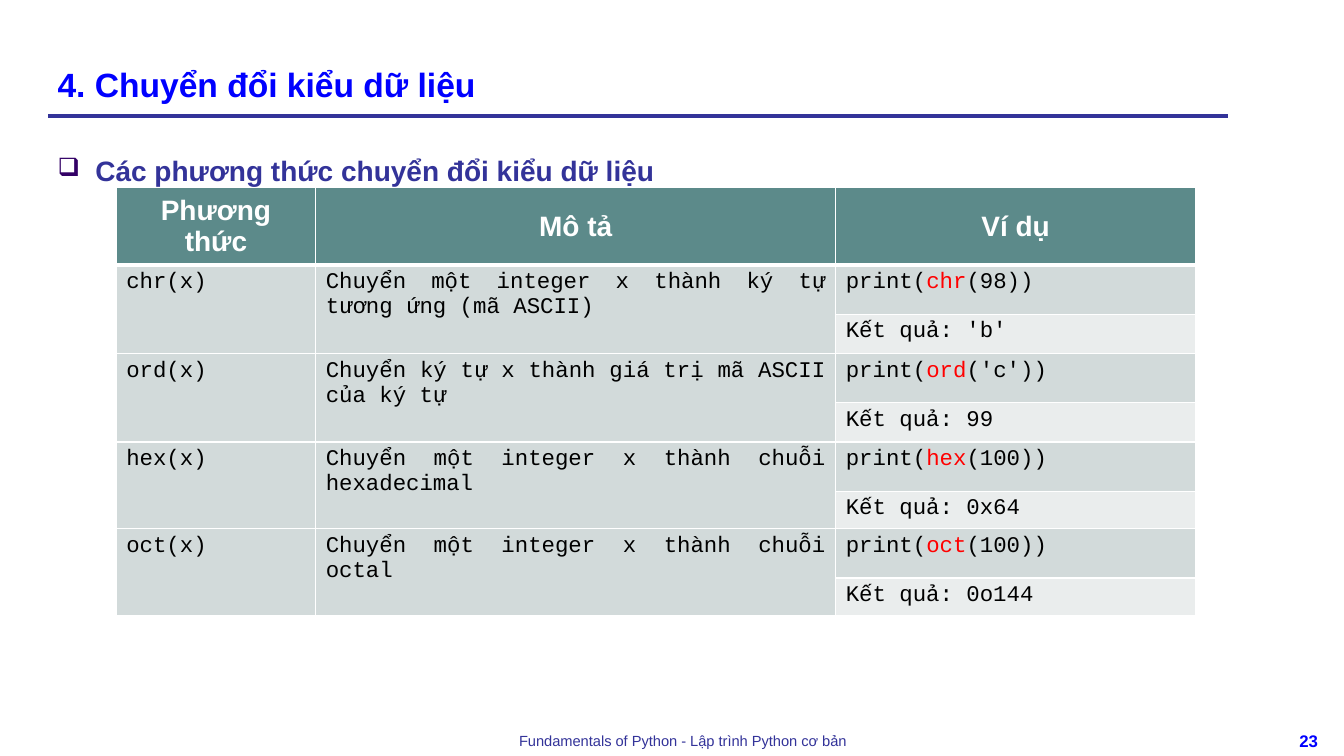
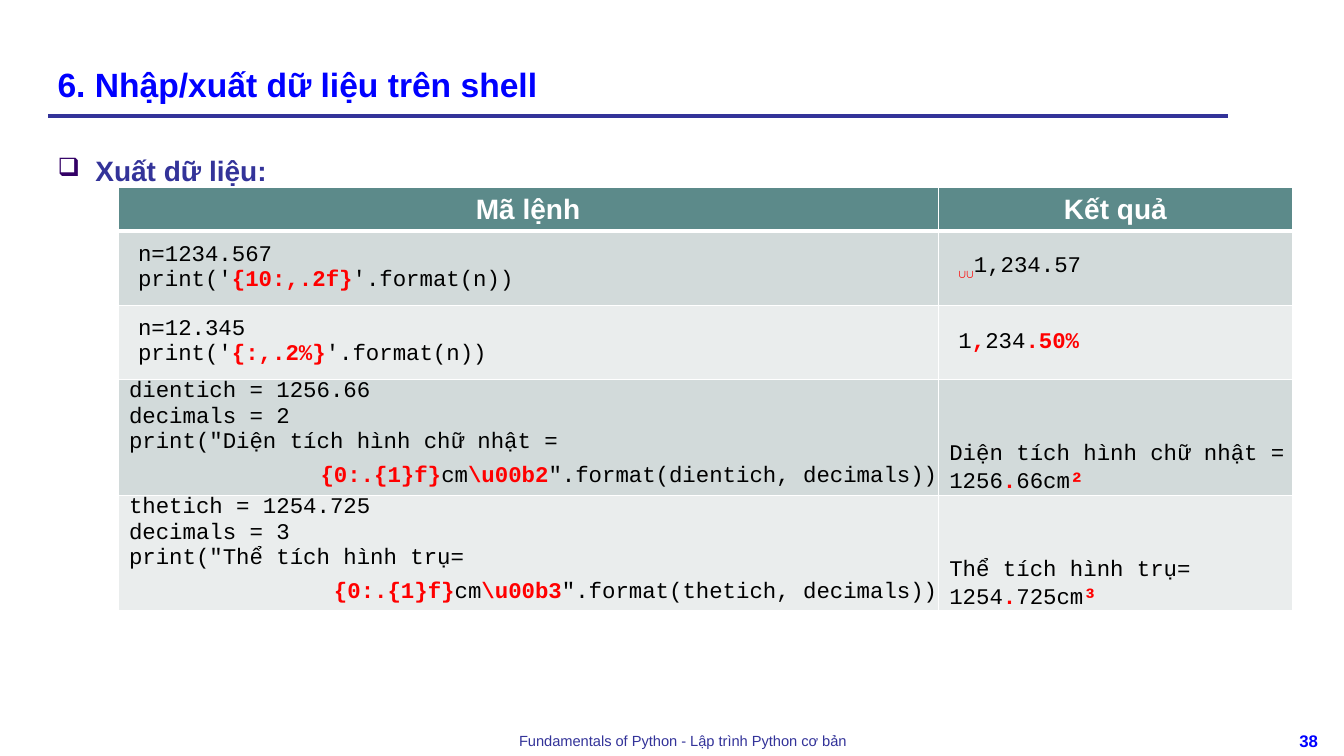
from lxml import etree
from pptx import Presentation
from pptx.dml.color import RGBColor
from pptx.enum.shapes import MSO_CONNECTOR
from pptx.enum.text import MSO_ANCHOR, PP_ALIGN
from pptx.oxml.ns import qn
from pptx.util import Pt

LEFT, MID, RIGHT, FULL = (PP_ALIGN.LEFT, PP_ALIGN.CENTER, PP_ALIGN.RIGHT,
                          PP_ALIGN.JUSTIFY)
TOP, CENTER, BOTTOM = MSO_ANCHOR.TOP, MSO_ANCHOR.MIDDLE, MSO_ANCHOR.BOTTOM
STRAIGHT = MSO_CONNECTOR.STRAIGHT

NAVY = RGBColor(0x33, 0x33, 0x99)
BLUE = RGBColor(0x00, 0x00, 0xFF)
PLUM = RGBColor(0x33, 0x00, 0x66)
TEAL = RGBColor(0x5C, 0x8A, 0x8A)
DARK = RGBColor(0xD2, 0xDA, 0xDA)
PALE = RGBColor(0xEA, 0xED, 0xED)
RED = RGBColor(0xFF, 0x00, 0x00)
BLACK = RGBColor(0x00, 0x00, 0x00)
WHITE = RGBColor(0xFF, 0xFF, 0xFF)
SANS, MONO = "Arial", "Courier New"

# Text between bars is red.
FOOTER = "Fundamentals of Python - Lập trình Python cơ bản"
CASTS = {
    "title": "4. Chuyển đổi kiểu dữ liệu",
    "point": "Các phương thức chuyển đổi kiểu dữ liệu",
    "page": "23",
    "heads": ["Phương thức", "Mô tả", "Ví dụ"],
    "rows": [
        ("chr", "Chuyển một integer x thành ký tự tương ứng (mã ASCII)",
         "98", "'b'"),
        ("ord", "Chuyển ký tự x thành giá trị mã ASCII của ký tự",
         "'c'", "99"),
        ("hex", "Chuyển một integer x thành chuỗi hexadecimal",
         "100", "0x64"),
        ("oct", "Chuyển một integer x thành chuỗi octal", "100", "0o144"),
    ],
}
OUTPUT = {
    "title": "6. Nhập/xuất dữ liệu trên shell",
    "point": "Xuất dữ liệu:",
    "page": "38",
    "heads": ["Mã lệnh", "Kết quả"],
    "short": [
        ("n=1234.567\nprint('|{10:,.2f}|'.format(n))", "|∪∪|1,234.57"),
        ("n=12.345\nprint('|{:,.2%}|'.format(n))", "1|,|234|.50%|"),
    ],
    "long": [
        ("dientich = 1256.66\ndecimals = 2\nprint(\"Diện tích hình chữ nhật =",
         "|{0:.{1}f}|cm|\\u00b2|\".format(dientich, decimals))",
         "Diện tích hình chữ nhật = 1256|.|66cm|²|"),
        ("thetich = 1254.725\ndecimals = 3\nprint(\"Thể tích hình trụ=",
         "|{0:.{1}f}|cm|\\u00b3|\".format(thetich, decimals))",
         "Thể tích hình trụ= 1254|.|725cm|³|"),
    ],
}


def add_run(para, text, size, color, bold=False, font=SANS):
    """Add one styled run."""
    run = para.add_run()
    run.text = text
    run.font.size, run.font.name, run.font.bold = Pt(size), font, bold
    run.font.color.rgb = color
    return run


def add_break(para, size):
    """Add a line break as tall as the text around it."""
    mark = etree.SubElement(para._p, qn("a:br"))
    prop = etree.SubElement(mark, qn("a:rPr"), sz=str(size * 100))
    etree.SubElement(prop, qn("a:latin"), typeface=MONO)


def add_code(para, text, strong):
    """Add code runs; parts between bars are red, and bold if strong."""
    for i, part in enumerate(text.split("|")):
        hot = i % 2 == 1
        for j, line in enumerate(part.split("\n")):
            if j:
                add_break(para, 16)
            if line:
                run = add_run(para, line, 16, RED if hot else BLACK,
                              hot and strong, MONO)
                if "∪" in line:
                    run.font._element.set("baseline", "-25000")


def add_label(slide, box, text, size, color, bold=True, align=LEFT,
              anchor=TOP):
    """Add a one-paragraph text box and return the paragraph."""
    frame = slide.shapes.add_textbox(*map(Pt, box)).text_frame
    frame.word_wrap, frame.vertical_anchor = True, anchor
    para = frame.paragraphs[0]
    para.alignment = align
    add_run(para, text, size, color, bold)
    return para


def add_bullet(para):
    """Give a paragraph the square bullet and hanging indent."""
    para.line_spacing = 1.5
    prop = para._p.get_or_add_pPr()
    prop.set("marL", str(Pt(27)))
    prop.set("indent", str(-Pt(27)))
    tint = etree.SubElement(prop, qn("a:buClr"))
    etree.SubElement(tint, qn("a:srgbClr"), val=str(PLUM))
    etree.SubElement(prop, qn("a:buSzPct"), val="90000")
    etree.SubElement(prop, qn("a:buChar"), char="❑")


def add_page(deck, data):
    """Add a slide with title, rule, bullet point and footer."""
    slide = deck.slides.add_slide(deck.slide_layouts[6])
    rule = slide.shapes.add_connector(STRAIGHT, Pt(34.5), Pt(83), Pt(877),
                                      Pt(83))
    rule.line.color.rgb, rule.line.width = NAVY, Pt(3)
    etree.SubElement(rule._element.spPr, qn("a:effectLst"))
    add_label(slide, (232, 519, 512, 21), FOOTER, 10.5, NAVY, False, MID)
    add_label(slide, (912, 518.5, 45.5, 21.5), data["page"], 12, BLUE,
              align=MID)
    add_label(slide, (34, 15, 831.5, 62.75), data["title"], 24, BLUE,
              anchor=BOTTOM)
    add_bullet(add_label(slide, (34, 94.25, 831.5, 408), data["point"], 20,
                         NAVY))
    return slide


def set_cell(cell, fill, anchor=TOP, pad=None, base=1):
    """Set a cell's borders, fill, anchor and padding."""
    prop = cell._tc.get_or_add_tcPr()
    for side, width in (("L", 1), ("R", 1), ("T", 1), ("B", base)):
        line = etree.SubElement(prop, qn("a:ln" + side), w=str(Pt(width)))
        solid = etree.SubElement(line, qn("a:solidFill"))
        etree.SubElement(solid, qn("a:srgbClr"), val=str(WHITE))
    cell.fill.solid()
    cell.fill.fore_color.rgb = fill
    cell.vertical_anchor = anchor
    if pad is not None:
        cell.margin_left = cell.margin_right = Pt(pad[0])
        cell.margin_top = cell.margin_bottom = Pt(pad[1])


def add_grid(slide, left, cols, rows, heads):
    """Add a table of given column widths and row heights with its header."""
    grid = slide.shapes.add_table(len(rows), len(cols), Pt(left), Pt(134),
                                  Pt(sum(cols)), Pt(sum(rows))).table
    grid.horz_banding = False
    for col, width in zip(grid.columns, cols):
        col.width = Pt(width)
    for row, height in zip(grid.rows, rows):
        row.height = Pt(height)
    for i, head in enumerate(heads):
        cell = grid.cell(0, i)
        set_cell(cell, TEAL, CENTER, base=3)
        para = cell.text_frame.paragraphs[0]
        para.alignment = MID
        add_run(para, head, 20, WHITE, True)
    return grid


def put_code(cell, text, align=FULL, strong=False, indent=0, space=None,
             more=False):
    """Write a code paragraph into a cell, or below its text if more."""
    frame = cell.text_frame
    para = frame.add_paragraph() if more else frame.paragraphs[0]
    para.alignment = align
    if indent:
        para._p.get_or_add_pPr().set("marL", str(Pt(indent)))
        para._p.get_or_add_pPr().set("indent", "0")
        para.space_before = Pt(6)
    if space:
        para.line_spacing = space
    add_code(para, text, strong)


def draw_casts(deck):
    """Build the slide on conversion methods."""
    rows = [45.25] + [35.25, 28] * 2 + [35.25, 26.75] * 2
    grid = add_grid(add_page(deck, CASTS), 83, (142.5, 371.5, 257), rows,
                    CASTS["heads"])
    for i, (name, note, arg, result) in enumerate(CASTS["rows"]):
        top = 1 + 2 * i
        for col in range(3):
            set_cell(grid.cell(top, col), DARK)
            set_cell(grid.cell(top + 1, col), PALE if col == 2 else DARK)
        for col, text in enumerate((f"{name}(x)", note)):
            grid.cell(top, col).merge(grid.cell(top + 1, col))
            put_code(grid.cell(top, col), text)
        put_code(grid.cell(top, 2), f"print(|{name}|({arg}))")
        put_code(grid.cell(top + 1, 2), f"Kết quả: {result}")


def draw_output(deck):
    """Build the slide on formatted output."""
    grid = add_grid(add_page(deck, OUTPUT), 84.25, (586, 253),
                    (31, 51, 51, 80.75, 80.75), OUTPUT["heads"])
    tints = (DARK, PALE)
    for i, texts in enumerate(OUTPUT["short"]):
        for col, text in enumerate(texts):
            cell = grid.cell(1 + i, col)
            set_cell(cell, tints[i], CENTER, (7.2, 7.2))
            put_code(cell, text, LEFT, True, 7.2)
    for i, (code, tail, result) in enumerate(OUTPUT["long"]):
        left, right = grid.cell(3 + i, 0), grid.cell(3 + i, 1)
        set_cell(left, tints[i], TOP, (0.72, 0))
        put_code(left, code, LEFT, True, 7.2)
        put_code(left, tail, RIGHT, True, 7.2, more=True)
        set_cell(right, tints[i], BOTTOM, (0.72, 0))
        put_code(right, result, LEFT, True, 7.2, 1.1)


deck = Presentation()
deck.slide_width, deck.slide_height = Pt(960), Pt(540)
draw_casts(deck)
draw_output(deck)
deck.save("out.pptx")
